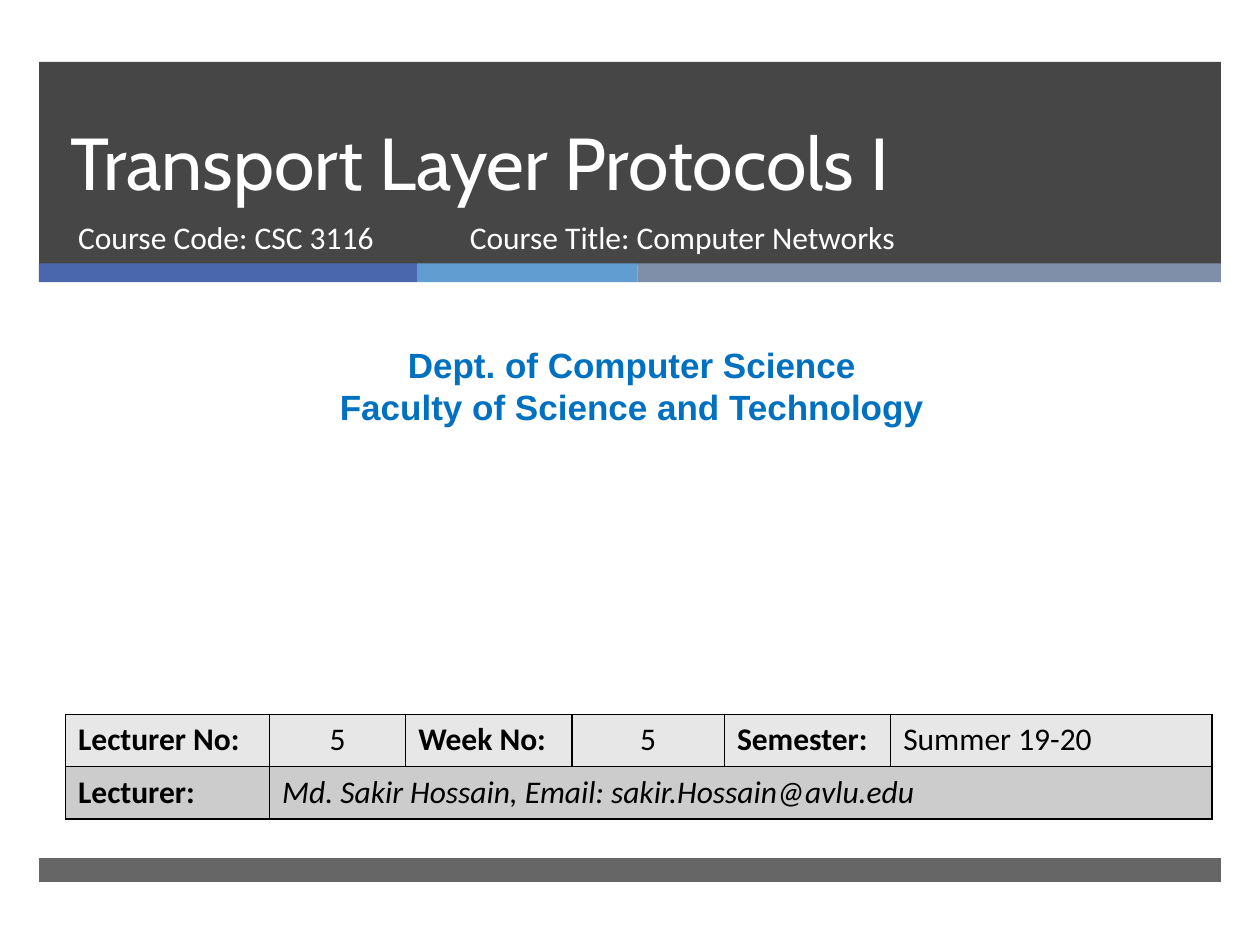
from lxml import etree
from pptx import Presentation
from pptx import util as u
from pptx.dml.color import RGBColor
from pptx.enum import shapes, text
from pptx.oxml import ns

COLORS = {
    "dark": "262626", "indigo": "4A66AC", "sky": "629DD1", "slate": "7F8FA9",
    "white": "FFFFFF", "black": "000000", "department": "0070C0",
    "light_row": "E7E7E7", "dark_row": "CCCCCC",
}
LEFT, CENTER = text.PP_ALIGN.LEFT, text.PP_ALIGN.CENTER


class CoverSlide:
    def __init__(self, deck):
        self.slide = deck.slides.add_slide(deck.slide_layouts[0])
        self.body_font = "Calibri"
        self.body_size = 18

    def color(self, name):
        return RGBColor.from_string(COLORS[name])

    def place(self, part, box):
        part.left, part.top, part.width, part.height = map(u.Inches, box)

    def set_words(self, frame, words, color, font=None, size=None, align=LEFT,
                  bold=False, italic=False):
        frame.text = words
        for paragraph in frame.paragraphs:
            paragraph.alignment = align
            paragraph.space_before = u.Pt(0)
            for run in paragraph.runs:
                run.font.name = font or self.body_font
                run.font.size = u.Pt(size or self.body_size)
                run.font.bold = bold
                run.font.italic = italic
                run.font.color.rgb = self.color(color)

    def band(self, box, color, opacity=100):
        bar = self.slide.shapes.add_shape(
            shapes.MSO_SHAPE.RECTANGLE, *map(u.Inches, box))
        bar.shadow.inherit = False
        bar.line.fill.background()
        bar.fill.solid()
        bar.fill.fore_color.rgb = self.color(color)
        if opacity < 100:
            tint = bar._element.spPr.find(".//" + ns.qn("a:srgbClr"))
            etree.SubElement(tint, ns.qn("a:alpha"), val=str(opacity * 1000))

    def placeholder(self, part, box, words, anchor, **style):
        self.place(part, box)
        frame = part.text_frame
        frame.word_wrap = True
        frame.auto_size = text.MSO_AUTO_SIZE.NONE
        frame.vertical_anchor = anchor
        self.set_words(frame, words, "white", **style)
        tree = self.slide.shapes._spTree
        tree.remove(part._element)
        tree.append(part._element)

    def label(self, box, words, color, **style):
        frame = self.slide.shapes.add_textbox(*map(u.Inches, box)).text_frame
        frame.word_wrap = True
        self.set_words(frame, words, color, **style)

    def border(self, cell):
        properties = cell._tc.get_or_add_tcPr()
        for index, side in enumerate(("lnL", "lnR", "lnT", "lnB")):
            line = etree.Element(ns.qn("a:" + side), w=str(u.Pt(1)))
            fill = etree.SubElement(line, ns.qn("a:solidFill"))
            etree.SubElement(fill, ns.qn("a:srgbClr"), val=COLORS["black"])
            properties.insert(index, line)

    def table(self, box, widths, rows, fills):
        grid = self.slide.shapes.add_table(
            len(rows), len(widths), *map(u.Inches, box)).table
        for column, width in zip(grid.columns, widths):
            column.width = u.Inches(width)
        for r, row in enumerate(rows):
            for c in range(len(widths)):
                cell = grid.cell(r, c)
                cell.fill.solid()
                cell.fill.fore_color.rgb = self.color(fills[r])
                self.border(cell)
                if c < len(row):
                    words, style = row[c]
                    self.set_words(cell.text_frame, words, "black", **style)
            if len(row) < len(widths):
                grid.cell(r, len(row) - 1).merge(grid.cell(r, len(widths) - 1))


def main():
    deck = Presentation()
    deck.slide_width, deck.slide_height = u.Inches(10), u.Inches(7.5)
    cover = CoverSlide(deck)

    cover.band((0.31, 0.49, 9.38, 1.61), "dark", 85)
    left = 0.31
    for width, color in ((3, "indigo"), (1.75, "sky"), (4.63, "slate")):
        cover.band((left, 2.09, width, 0.15), color)
        left += width
    cover.band((0.31, 6.81, 9.38, 0.19), "dark", 70)

    title = cover.slide.shapes.title
    course_code = cover.slide.placeholders[1]
    cover.placeholder(title, (0.46, 0.49, 8.54, 1.19),
                      "Transport Layer Protocols I",
                      text.MSO_ANCHOR.BOTTOM, font="Cabin", size=42)
    title.text_frame.paragraphs[0].line_spacing = u.Pt(46)
    cover.placeholder(course_code, (0.52, 1.68, 3.05, 0.53),
                      "Course Code: CSC 3116", text.MSO_ANCHOR.TOP)
    cover.label((0.08, 2.68, 9.87, 0.77),
                "Dept. of Computer Science\nFaculty of Science and Technology",
                "department", font="Arial", size=20, align=CENTER, bold=True)
    cover.label((3.63, 1.68, 4.55, 0.53),
                "Course Title: Computer Networks", "white")

    heading, number = {"bold": True}, {"align": CENTER}
    lecture = [("Lecturer No:", heading), ("5", number),
               ("Week No:", heading), ("5", number),
               ("Semester:", heading), ("Summer 19-20", {})]
    lecturer = [("Lecturer:", heading),
                ("Md. Sakir Hossain, Email: sakir.Hossain@avlu.edu",
                 {"italic": True})]
    cover.table((0.52, 5.67, 9.12, 0.83), (1.62, 1.08, 1.32, 1.21, 1.32, 2.55),
                [lecture, lecturer], ("light_row", "dark_row"))
    deck.save("out.pptx")


if __name__ == "__main__":
    main()
